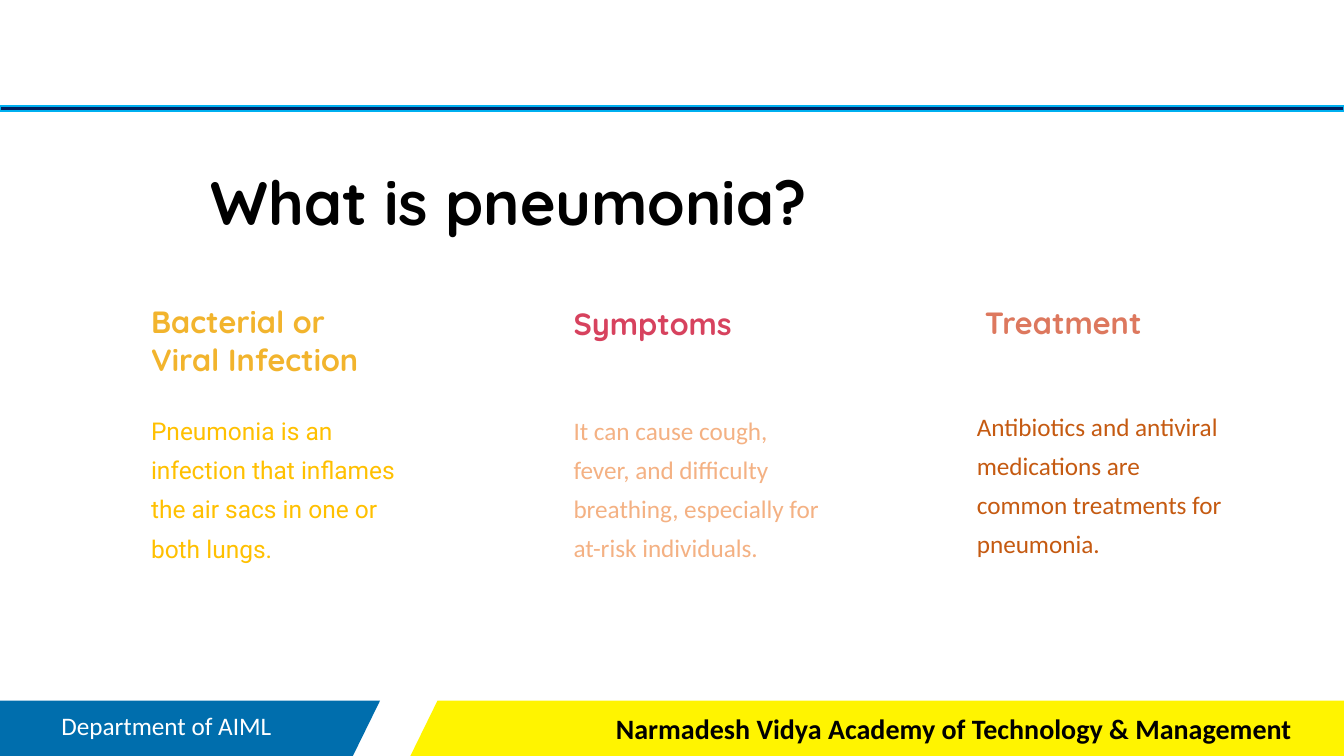
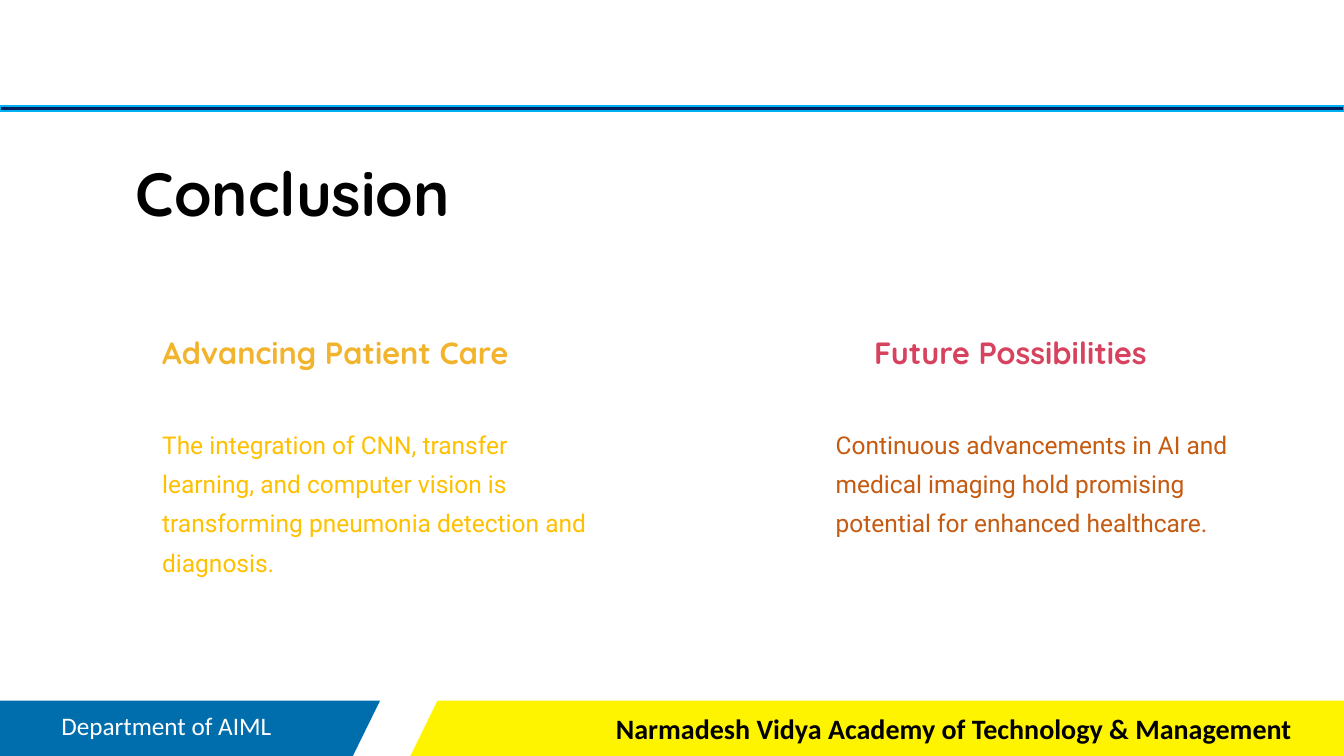
import pptx
import pptx.dml.color
import pptx.enum.shapes
import pptx.enum.text
import pptx.util

Inches = pptx.util.Inches
Pt = pptx.util.Pt

WIDTH, HEIGHT = 13.33, 7.5
BLACK, WHITE, NAVY, SKY = "000000", "FFFFFF", "002060", "00B0F0"
BLUE, YELLOW = "006EAD", "FFF400"
AMBER, GOLD, CRIMSON = "F2B42D", "FFC000", "D7425E"
CORAL, PEACH, RUST = "DD785E", "F4B183", "C55A11"

TITLE = {"name": "Quicksand", "size": Pt(43.7), "bold": True}
HEADING = {"name": "Quicksand", "size": Pt(21.9), "bold": True}
ROBOTO_BODY = {"name": "Roboto", "size": Pt(17.5)}
CALIBRI_BODY = {"name": "Calibri", "size": Pt(18)}
ACADEMY = {"name": "Calibri", "size": Pt(20), "bold": True}


def rgb(value):
    """Turn a hex string into a colour."""
    return pptx.dml.color.RGBColor.from_string(value)


def paint(shape, fill, line=None):
    """Give a shape a flat fill and an optional one-point outline."""
    shape.shadow.inherit = False
    shape.fill.solid()
    shape.fill.fore_color.rgb = rgb(fill)
    if line:
        shape.line.color.rgb = rgb(line)
        shape.line.width = Pt(1)
    else:
        shape.line.fill.background()


def add_text(slide, box, text, style, colour, spacing=None, wrap=True):
    """Write one paragraph in a text box and return its frame."""
    frame = slide.shapes.add_textbox(*map(Inches, box)).text_frame
    frame.word_wrap = wrap
    paragraph = frame.paragraphs[0]
    if spacing:
        paragraph.line_spacing = Pt(spacing)
    run = paragraph.add_run()
    run.text = text
    for attribute, value in style.items():
        setattr(run.font, attribute, value)
    run.font.color.rgb = rgb(colour)
    return frame


def add_band(slide, corners, fill):
    """Draw a closed footer band through its corners."""
    start, *others = [(Inches(x), Inches(y)) for x, y in corners]
    builder = slide.shapes.build_freeform(*start)
    builder.add_line_segments(others, close=True)
    paint(builder.convert_to_shape(), fill)


def add_header(slide, box):
    """Draw the thin rule under the header area."""
    rule = slide.shapes.add_shape(
        pptx.enum.shapes.MSO_SHAPE.RECTANGLE, *map(Inches, box))
    paint(rule, NAVY, SKY)


def add_footer(slide, box):
    """Draw the two slanted footer bands and their labels."""
    left, top, width, height = box
    right, bottom, slant = left + width, top + height, 0.27
    department_end, academy_start = left + 3.77, left + 4.34
    add_band(slide, [(left, top), (department_end, top),
                     (department_end - slant, bottom), (left, bottom)], BLUE)
    add_band(slide, [(academy_start, top), (right, top), (right, bottom),
                     (academy_start - slant, bottom)], YELLOW)
    academy = add_text(slide, (left + 5.59, top + 0.08, width - 5.59, 0.37),
                       "Narmadesh Vidya Academy of Technology & Management",
                       ACADEMY, BLACK)
    insets = {"margin_left": 0, "margin_top": Inches(0.03),
              "margin_right": 0, "margin_bottom": 0}
    for attribute, value in insets.items():
        setattr(academy, attribute, value)
    academy.paragraphs[0].alignment = pptx.enum.text.PP_ALIGN.CENTER
    add_text(slide, (left + 0.51, top + 0.05, 2.96, 0.4),
             "Department of AIML", CALIBRI_BODY, WHITE)


def add_column(slide, box, heading, heading_colour, body, body_colour,
               body_drop, body_style=ROBOTO_BODY, heading_shift=0, wrap=False):
    """Place a heading and, below it, its body text in a box."""
    left, top, width, height = box
    add_text(slide, (left + heading_shift, top, width, 0.38), heading,
             HEADING, heading_colour, 27.3, wrap)
    add_text(slide, (left, top + body_drop, width, height - body_drop), body,
             body_style, body_colour, 28)


def add_page(deck, title, title_at):
    """Start a slide with the shared header, footer and title."""
    slide = deck.slides.add_slide(deck.slide_layouts[6])
    add_footer(slide, (0, 6.95, WIDTH, 0.55))
    add_header(slide, (0, 1.05, WIDTH, 0.05))
    add_text(slide, (*title_at, 6.5, 0.76), title, TITLE, BLACK, 54.7, False)
    return slide


def build_pneumonia(deck):
    """Build the three-column slide about pneumonia."""
    slide = add_page(deck, "What is pneumonia?", (1.99, 1.55))
    add_column(slide, (1.4, 2.94, 2.67, 2.59),
               "Bacterial or Viral Infection", AMBER,
               "Pneumonia is an infection that inflames the air sacs "
               "in one or both lungs.", GOLD, 1.04, wrap=True)
    add_column(slide, (5.59, 2.96, 2.67, 2.57), "Symptoms", CRIMSON,
               "It can cause cough, fever, and difficulty breathing, "
               "especially for at-risk individuals.", PEACH, 1.02,
               CALIBRI_BODY)
    add_column(slide, (9.59, 2.95, 2.67, 2.54), "Treatment", CORAL,
               "Antibiotics and antiviral medications are common "
               "treatments for pneumonia.", RUST, 0.99,
               CALIBRI_BODY, heading_shift=0.08)


def build_conclusion(deck):
    """Build the two-column closing slide."""
    slide = add_page(deck, "Conclusion", (1.25, 1.46))
    add_column(slide, (1.51, 3.25, 4.52, 2.04),
               "Advancing Patient Care", AMBER,
               "The integration of CNN, transfer learning, and computer "
               "vision is transforming pneumonia detection and diagnosis.",
               GOLD, 0.87)
    add_column(slide, (8.19, 3.25, 4.52, 2.04),
               "Future Possibilities", CRIMSON,
               "Continuous advancements in AI and medical imaging hold "
               "promising potential for enhanced healthcare.",
               RUST, 0.87, heading_shift=0.38)


def main():
    """Build and save the deck."""
    deck = pptx.Presentation()
    deck.slide_width, deck.slide_height = Inches(WIDTH), Inches(HEIGHT)
    build_pneumonia(deck)
    build_conclusion(deck)
    deck.save("out.pptx")


if __name__ == "__main__":
    main()
